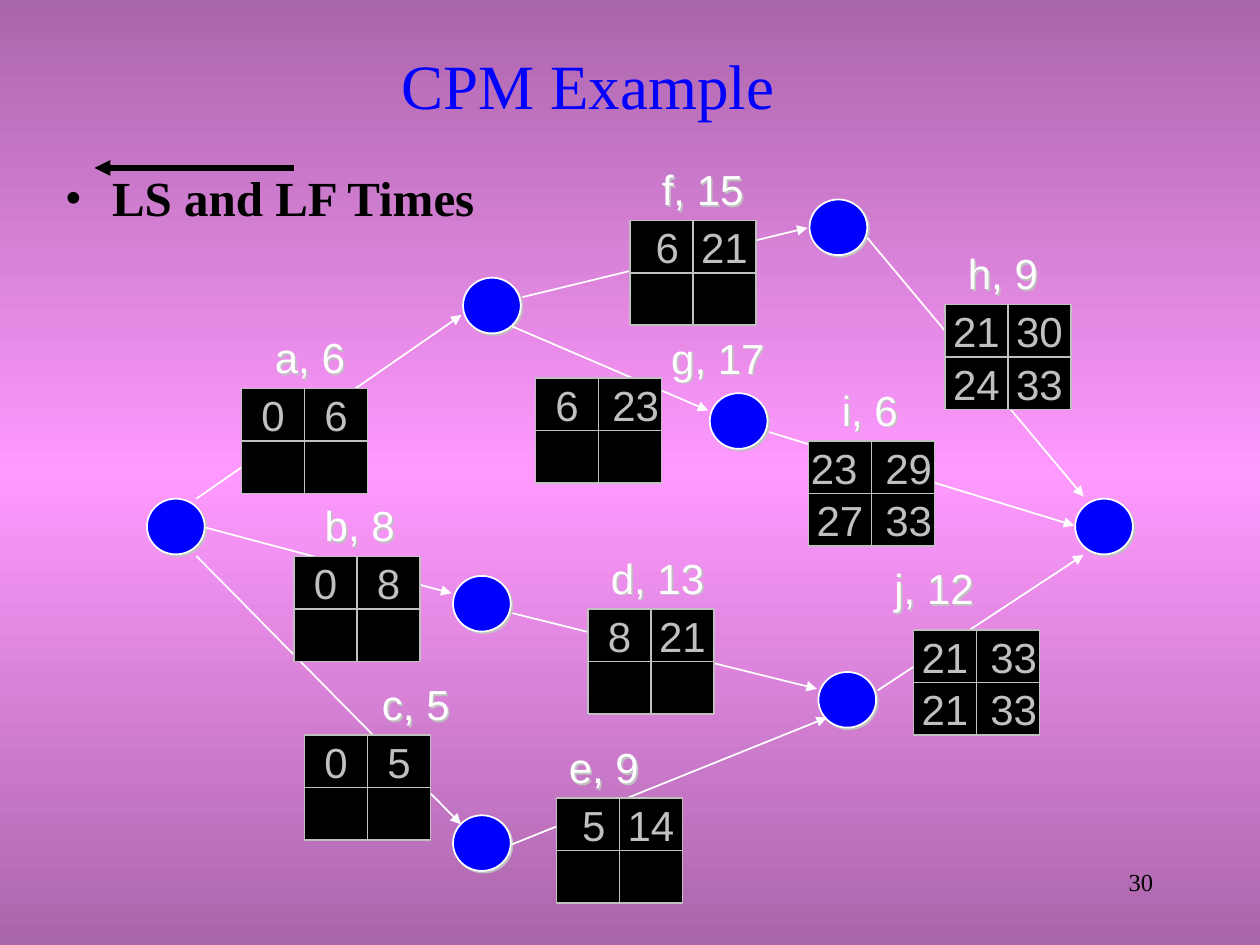
from copy import deepcopy
from dataclasses import dataclass
from itertools import zip_longest

from lxml.etree import SubElement
from pptx import Presentation
from pptx.dml.color import RGBColor
from pptx.enum.shapes import MSO_CONNECTOR, MSO_SHAPE
from pptx.enum.text import MSO_ANCHOR, MSO_AUTO_SIZE, PP_ALIGN
from pptx.oxml.ns import qn
from pptx.shapes.autoshape import Shape
from pptx.slide import Slide
from pptx.text.text import TextFrame
from pptx.util import Inches, Pt

COLUMNS, ROWS = 120, 90
WIDTH, HEIGHT = Inches(10), Inches(7.5)
EVENT_WIDTH, EVENT_HEIGHT = 5.5, 5.3
CELL_WIDTH, CELL_HEIGHT = 6, 5
LABEL_HEIGHT = 6
NUDGE = 1.1
BLACK, WHITE, BLUE, SILVER = "000000", "FFFFFF", "0000FF", "C0C0C0"
MAUVE, PINK = "AA66AA", "FF99FF"
SERIF, SANS = "Times New Roman", "Arial"

Point = tuple[float, float]


@dataclass(frozen=True)
class Time:
    """A number in a time table, moved right or left by its nudge."""
    text: str
    nudge: int = 0


@dataclass(frozen=True)
class Activity:
    """An arrow between events with its label and two-by-two time table."""
    label: str
    label_at: Point
    label_width: float
    table_at: Point
    start: Point
    end: Point
    times: tuple[Time, ...]


EVENTS: list[Point] = [
    (14, 47.5), (102.4, 47.5), (44.1, 26.45), (67.6, 37.45),
    (43.15, 77.65), (43.15, 54.85), (77.95, 64), (77.1, 19),
]

ACTIVITIES = [
    Activity("a, 6", (25, 31), 9.1, (23, 37), (18.7, 47.5), (43.95, 30),
             (Time("0"), Time("6"))),
    Activity("f, 15", (61.85, 15), 10.2, (60, 21), (49.75, 28.3), (76.9, 21.7),
             (Time("6", 1), Time("21"))),
    Activity("b, 8", (29.75, 47), 9.1, (28, 53), (19.6, 50.25), (43, 56.5),
             (Time("0"), Time("8"))),
    Activity("c, 5", (35.2, 64.05), 8.9, (29, 70), (18.7, 52.95), (43.9, 78.5),
             (Time("0"), Time("5"))),
    Activity("e, 9", (53, 70.05), 9.1, (53, 76), (48.8, 80.4), (78.75, 68.35),
             (Time("5", 1), Time("14"))),
    Activity("d, 13", (57, 52), 11.3, (56, 58), (48.8, 58.4), (77.8, 65.6),
             (Time("8"), Time("21"))),
    Activity("g, 17", (62.75, 31.05), 11.3, (51, 36), (48.8, 31.1), (67.45, 39.1),
             (Time("6"), Time("23", 1))),
    Activity("h, 9", (91, 23), 9.1, (90, 29), (82.6, 22.65), (103.2, 47.3),
             (Time("21"), Time("30"), Time("24"), Time("33"))),
    Activity("i, 6", (79, 36), 7.7, (77, 42), (73.25, 41.15), (102.3, 50.05),
             (Time("23", -1), Time("29", 1), Time("27"), Time("33", 1))),
    Activity("j, 12", (84, 53), 10, (87, 60), (83.6, 65.75), (103.2, 52.85),
             (Time("21"), Time("33", 1), Time("21"), Time("33", 1))),
]


def color(value: str) -> RGBColor:
    """Return the colour for a hex string."""
    return RGBColor.from_string(value)


def across(columns: float) -> int:
    """Return the length of a number of grid columns."""
    return round(WIDTH * columns / COLUMNS)


def down(rows: float) -> int:
    """Return the length of a number of grid rows."""
    return round(HEIGHT * rows / ROWS)


def add_shadow(shape: Shape) -> None:
    """Give a shape a small silver shadow."""
    shape.shadow.inherit = False
    effects = shape._element.spPr.find(qn("a:effectLst"))
    shadow = SubElement(effects, qn("a:outerShdw"), dist=str(Pt(1.4)),
                        dir="2700000", algn="ctr", rotWithShape="0")
    SubElement(shadow, qn("a:srgbClr"), val=SILVER)


def write(frame: TextFrame, text: str, size: float, face: str, ink: str,
          align: PP_ALIGN = PP_ALIGN.LEFT, bold: bool = False) -> None:
    """Set one formatted paragraph."""
    paragraph = frame.paragraphs[0]
    paragraph.text = text
    paragraph.alignment = align
    font = paragraph.runs[0].font
    font.size, font.name, font.bold = Pt(size), face, bold
    font.color.rgb = color(ink)


def add_text_box(slide: Slide, at: Point, width: float, height: float) -> Shape:
    """Add a wrapping text box placed on the grid."""
    box = slide.shapes.add_textbox(across(at[0]), down(at[1]), across(width), down(height))
    box.text_frame.word_wrap = True
    return box


def add_shape(slide: Slide, kind: MSO_SHAPE, at: Point, width: float,
              height: float, fill: str, line: str) -> Shape:
    """Add a filled and outlined shape placed on the grid."""
    shape = slide.shapes.add_shape(kind, across(at[0]), down(at[1]), across(width), down(height))
    shape.fill.solid()
    shape.fill.fore_color.rgb = color(fill)
    shape.line.color.rgb = color(line)
    shape.line.width = Pt(1)
    shape.shadow.inherit = False
    return shape


def add_arrow(slide: Slide, start: Point, end: Point, ink: str, width: float) -> None:
    """Add an arrow that points at its end."""
    arrow = slide.shapes.add_connector(MSO_CONNECTOR.STRAIGHT, across(start[0]), down(start[1]),
                                       across(end[0]), down(end[1]))
    arrow.line.color.rgb = color(ink)
    arrow.line.width = Pt(width)
    properties = arrow._element.spPr
    SubElement(properties.find(qn("a:ln")), qn("a:tailEnd"), type="triangle")
    SubElement(properties, qn("a:effectLst"))


def add_event(slide: Slide, at: Point) -> None:
    """Add a network node with its shadow."""
    add_shadow(add_shape(slide, MSO_SHAPE.OVAL, at, EVENT_WIDTH, EVENT_HEIGHT, BLUE, WHITE))


def add_label(slide: Slide, activity: Activity) -> None:
    """Add the name and duration of an activity."""
    box = add_text_box(slide, activity.label_at, activity.label_width, LABEL_HEIGHT)
    box.text_frame.word_wrap = False
    box.text_frame.auto_size = MSO_AUTO_SIZE.SHAPE_TO_FIT_TEXT
    write(box.text_frame, activity.label, 24, SANS, WHITE)
    add_shadow(box)


def add_time_table(slide: Slide, activity: Activity) -> None:
    """Add the two-by-two grid of start and finish times."""
    left, top = activity.table_at
    for index, time in zip_longest(range(4), activity.times):
        row, column = divmod(index, 2)
        at = (left + column * CELL_WIDTH, top + row * CELL_HEIGHT)
        cell = add_shape(slide, MSO_SHAPE.RECTANGLE, at, CELL_WIDTH, CELL_HEIGHT, BLACK, SILVER)
        if time:
            frame = cell.text_frame
            frame.word_wrap = False
            frame.vertical_anchor = MSO_ANCHOR.MIDDLE
            frame.margin_top = frame.margin_bottom = 0
            frame.margin_left = across(NUDGE * max(time.nudge, 0))
            frame.margin_right = across(NUDGE * max(-time.nudge, 0))
            write(frame, time.text, 24, SANS, SILVER, PP_ALIGN.CENTER)


def add_background(slide: Slide) -> None:
    """Fill the background with a vertical three-stop gradient."""
    fill = slide.background.fill
    fill.gradient()
    fill.gradient_angle = 90
    stops = slide._element.find(".//" + qn("a:gsLst"))
    stops.append(deepcopy(stops[0]))
    for stop, position, shade in zip(fill.gradient_stops, (0, 0.5, 1), (MAUVE, PINK, MAUVE)):
        stop.position = position
        stop.color.rgb = color(shade)


def add_headings(slide: Slide) -> None:
    """Add the page number, title and bulleted subtitle."""
    number = add_text_box(slide, (86, 82), 25, 6).text_frame
    write(number, "30", 14, SERIF, BLACK, PP_ALIGN.RIGHT)
    title = add_text_box(slide, (5, 3), 102, 10).text_frame
    title.vertical_anchor = MSO_ANCHOR.MIDDLE
    write(title, "CPM Example", 36, SERIF, BLUE, PP_ALIGN.CENTER)
    subtitle = add_text_box(slide, (5, 16), 102, 6.5).text_frame
    paragraph = subtitle.paragraphs[0]
    paragraph.line_spacing = 0.9
    properties = paragraph._p.get_or_add_pPr()
    properties.set("marL", str(across(4.5)))
    properties.set("indent", str(-across(4.5)))
    SubElement(SubElement(properties, qn("a:buClr")), qn("a:srgbClr"), val=BLACK)
    SubElement(properties, qn("a:buFont"), typeface=SERIF)
    SubElement(properties, qn("a:buChar"), char="•")
    write(subtitle, "LS and LF Times", 28, SERIF, BLACK, bold=True)


def main() -> None:
    """Build the slide and save it."""
    presentation = Presentation()
    presentation.slide_width, presentation.slide_height = WIDTH, HEIGHT
    slide = presentation.slides.add_slide(presentation.slide_layouts[6])
    add_background(slide)
    add_headings(slide)
    add_arrow(slide, (28, 16), (9, 16), BLACK, 3)
    for at in EVENTS:
        add_event(slide, at)
    for activity in ACTIVITIES:
        add_arrow(slide, activity.start, activity.end, WHITE, 1)
    for activity in ACTIVITIES:
        add_label(slide, activity)
        add_time_table(slide, activity)
    presentation.save("out.pptx")


if __name__ == "__main__":
    main()
